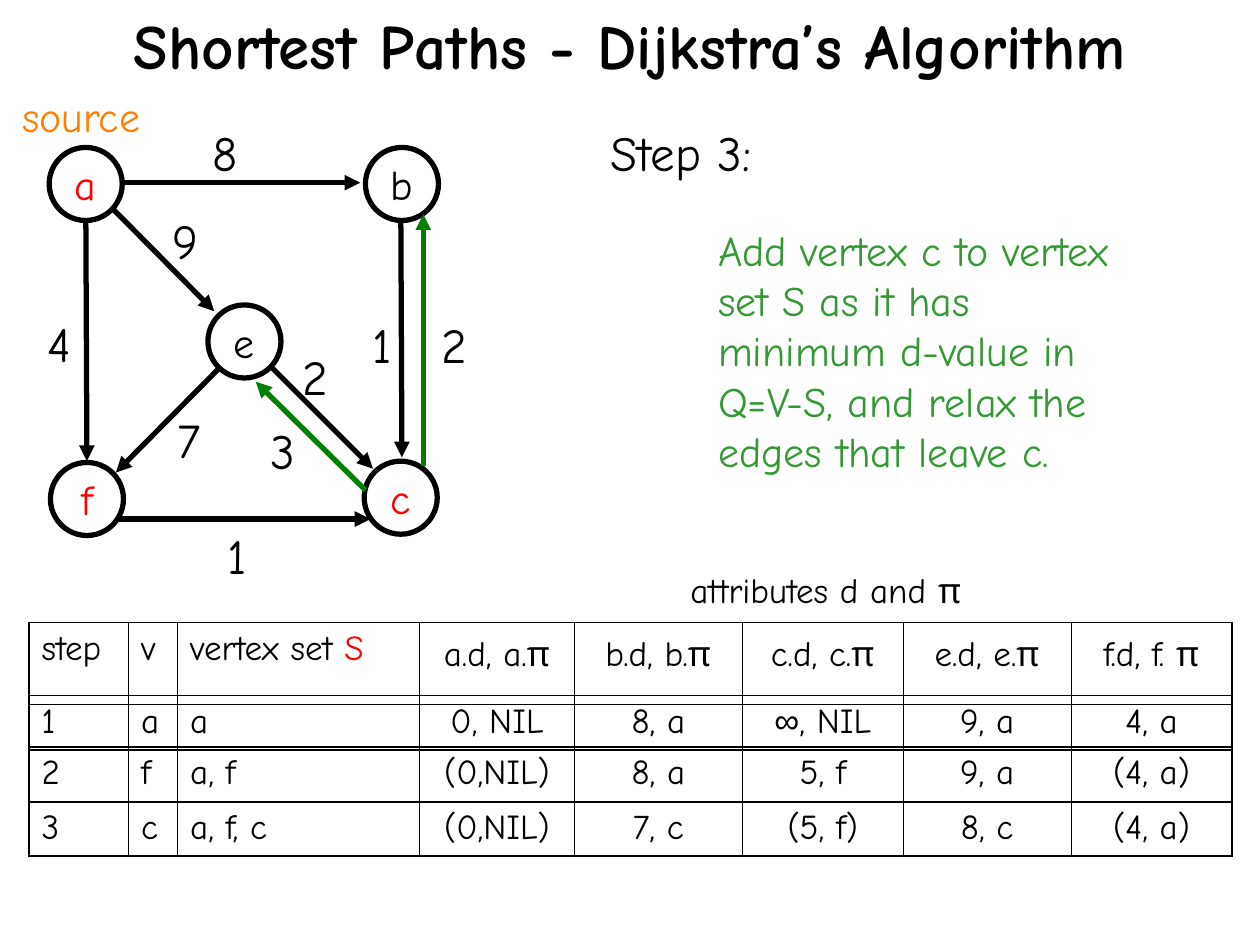
from itertools import groupby

from lxml import etree
from pptx import Presentation
from pptx.dml.color import RGBColor
from pptx.enum.shapes import MSO_CONNECTOR, MSO_SHAPE
from pptx.enum.text import MSO_ANCHOR, PP_ALIGN
from pptx.oxml.ns import qn
from pptx.util import Inches, Pt

STRAIGHT = MSO_CONNECTOR.STRAIGHT
OVAL = MSO_SHAPE.OVAL
MIDDLE = MSO_ANCHOR.MIDDLE
LEFT, CENTER = PP_ALIGN.LEFT, PP_ALIGN.CENTER

COLORS = {
    "black": "000000",
    "white": "FFFFFF",
    "red": "FF0000",
    "orange": "FF8000",
    "edge green": "008000",
    "text green": "339933",
}
TEXT_FONT = "Comic Neue"
SYMBOL_FONTS = {"π": "Noto Sans", "∞": "Arial"}


def write(para, text, size, color="black", align=LEFT):
    """Fill a paragraph, giving symbols their own font."""
    para.alignment = align
    para.font.size = Pt(size)
    para.font.name = TEXT_FONT
    para.font.color.rgb = RGBColor.from_string(COLORS[color])
    for font_name, letters in groupby(text, lambda letter: SYMBOL_FONTS.get(letter)):
        span = para.add_run()
        span.text = "".join(letters)
        if font_name:
            span.font.name = font_name


def draw_arrow(x1, y1, x2, y2, color="black"):
    arrow = page.shapes.add_connector(
        STRAIGHT, Inches(x1), Inches(y1), Inches(x2), Inches(y2))
    arrow.line.color.rgb = RGBColor.from_string(COLORS[color])
    arrow.line.width = Pt(3)
    etree.SubElement(arrow.line._get_or_add_ln(), qn("a:tailEnd"), type="triangle")
    etree.SubElement(arrow._element.spPr, qn("a:effectLst"))


deck = Presentation()
deck.slide_width, deck.slide_height = Inches(10), Inches(7.5)
page = deck.slides.add_slide(deck.slide_layouts[6])

# Graph: edges that start under the vertices, vertices, then edges on top
for ends in [
    (1.94, 2.7, 2.96, 3.72),
    (0.69, 1.45, 1.7, 2.47),
    (1.96, 2.7, 0.92, 3.75),
    (0.68, 1.45, 0.69, 3.66),
    (0.68, 1.45, 2.86, 1.45),
    (3.18, 1.45, 3.19, 3.63),
]:
    draw_arrow(*ends)

DIAMETER = 0.58
for name, left, top, color in [
    ("a", 0.39, 1.17, "red"),
    ("b", 2.9, 1.17, "black"),
    ("e", 1.65, 2.42, "black"),
    ("f", 0.4, 3.67, "red"),
    ("c", 2.89, 3.66, "red"),
]:
    vertex = page.shapes.add_shape(
        OVAL, Inches(left), Inches(top), Inches(DIAMETER), Inches(DIAMETER))
    vertex.shadow.inherit = False
    vertex.fill.solid()
    vertex.fill.fore_color.rgb = RGBColor.from_string(COLORS["white"])
    vertex.line.color.rgb = RGBColor.from_string(COLORS["black"])
    vertex.line.width = Pt(3)
    frame = vertex.text_frame
    frame.margin_left = frame.margin_right = frame.margin_top = frame.margin_bottom = 0
    frame.vertical_anchor = MIDDLE
    frame.word_wrap = False
    write(frame.paragraphs[0], name, 24, color, CENTER)

draw_arrow(0.94, 4.12, 2.94, 4.12)
draw_arrow(3.36, 3.7, 3.36, 1.7, "edge green")
draw_arrow(2.9, 3.89, 2.03, 3.03, "edge green")

# Edge weights
for weight, left, top in [
    ("8", 1.59, 0.92),
    ("9", 1.27, 1.62),
    ("4", 0.28, 2.44),
    ("1", 2.86, 2.45),
    ("2", 3.41, 2.45),
    ("2", 2.3, 2.7),
    ("7", 1.31, 3.2),
    ("3", 2.05, 3.29),
    ("1", 1.71, 4.12),
]:
    box = page.shapes.add_textbox(Inches(left), Inches(top), Inches(0.4), Inches(0.57))
    write(box.text_frame.paragraphs[0], weight, 28)

# Title, captions and explanation
for text, left, top, width, height, size, color, align in [
    ("Shortest Paths - Dijkstra’s Algorithm", 0.95, 0, 8.1, 0.7, 36, "black", CENTER),
    ("source", 0.08, 0.67, 1.14, 0.5, 24, "orange", LEFT),
    ("Step 3:", 4.75, 0.92, 1.82, 0.57, 28, "black", LEFT),
    ("Add vertex c to vertex set S as it has minimum d-value in Q=V-S, "
     "and relax the edges that leave c.", 5.6, 1.73, 3.59, 2.1, 24, "text green", LEFT),
]:
    box = page.shapes.add_textbox(
        Inches(left), Inches(top), Inches(width), Inches(height))
    box.text_frame.word_wrap = True
    para = box.text_frame.paragraphs[0]
    write(para, text, size, color, align)
    para.font.bold = size == 36

# Tables: a header across the slide, then a left and a right table per step
SET_WIDTHS = [0.79, 0.39, 1.92]
VALUE_WIDTHS = [1.23, 1.33, 1.28, 1.33, 1.28]
SET_LEFT, VALUE_LEFT = 0.23, 3.33
THIN, THICK = 0.45, 1.08
HEADER = [
    ["", "", "", "attributes d and π", "", "", "", ""],
    ["step", "v", "vertex set ", "a.d, a.π", "b.d, b.π", "c.d, c.π", "e.d, e.π", "f.d, f. π"],
]
STEPS = [
    (5.52, ["1", "a", "a"], ["0, NIL", "8, a", "∞, NIL", "9, a", "4, a"]),
    (5.93, ["2", "f", "a, f"], ["(0,NIL)", "8, a", "5, f", "9, a", "(4, a)"]),
    (6.36, ["3", "c", "a, f, c"], ["(0,NIL)", "7, c", "(5, f)", "8, c", "(4, a)"]),
]
tables = [(SET_LEFT, 4.44, SET_WIDTHS + VALUE_WIDTHS, [0.5, 0.65], HEADER)]
for top, set_row, value_row in STEPS:
    tables.append((SET_LEFT, top, SET_WIDTHS, [0.43], [set_row]))
    tables.append((VALUE_LEFT, top, VALUE_WIDTHS, [0.43], [value_row]))

for left, top, widths, heights, rows in tables:
    is_header = rows is HEADER
    table = page.shapes.add_table(
        len(rows), len(widths), Inches(left), Inches(top),
        Inches(sum(widths)), Inches(sum(heights))).table
    table.first_row = table.horz_banding = False
    for column, width in zip(table.columns, widths):
        column.width = Inches(width)
    for row, height in zip(table.rows, heights):
        row.height = Inches(height)
    if is_header:
        table.cell(0, 3).merge(table.cell(0, 7))

    for i, texts in enumerate(rows):
        for j, text in enumerate(texts):
            cell = table.cell(i, j)
            centered = left == VALUE_LEFT or j >= len(SET_WIDTHS)
            if text:
                write(cell.text_frame.paragraphs[0], text, 20,
                      align=CENTER if centered else LEFT)
            if is_header and i == 0:
                borders = {"lnL": 0, "lnR": 0, "lnT": 0, "lnB": THIN}
            else:
                borders = {
                    "lnL": THICK if j == 0 else THIN,
                    "lnR": THICK if j == len(texts) - 1 else THIN,
                    "lnT": THIN if is_header else THICK,
                    "lnB": THICK,
                }
            properties = cell._tc.get_or_add_tcPr()
            for side, points in borders.items():
                line = etree.SubElement(properties, qn("a:" + side), w=str(Pt(points)))
                if points:
                    fill = etree.SubElement(line, qn("a:solidFill"))
                    etree.SubElement(fill, qn("a:srgbClr"), val=COLORS["black"])
                else:
                    etree.SubElement(line, qn("a:noFill"))
            cell.fill.background()
    if is_header:
        span = table.cell(1, 2).text_frame.paragraphs[0].add_run()
        span.text = "S"
        span.font.color.rgb = RGBColor.from_string(COLORS["red"])

deck.save("out.pptx")
